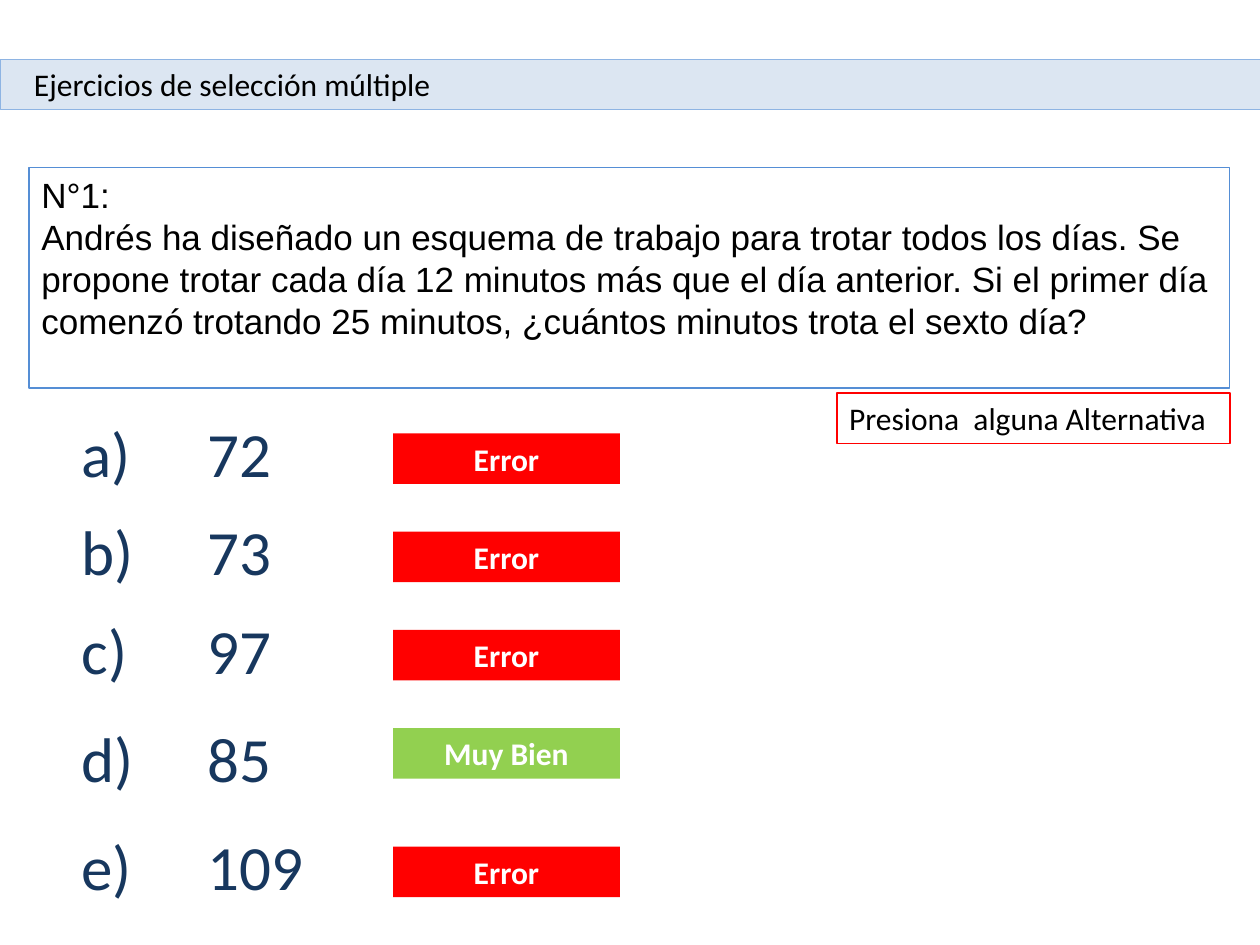
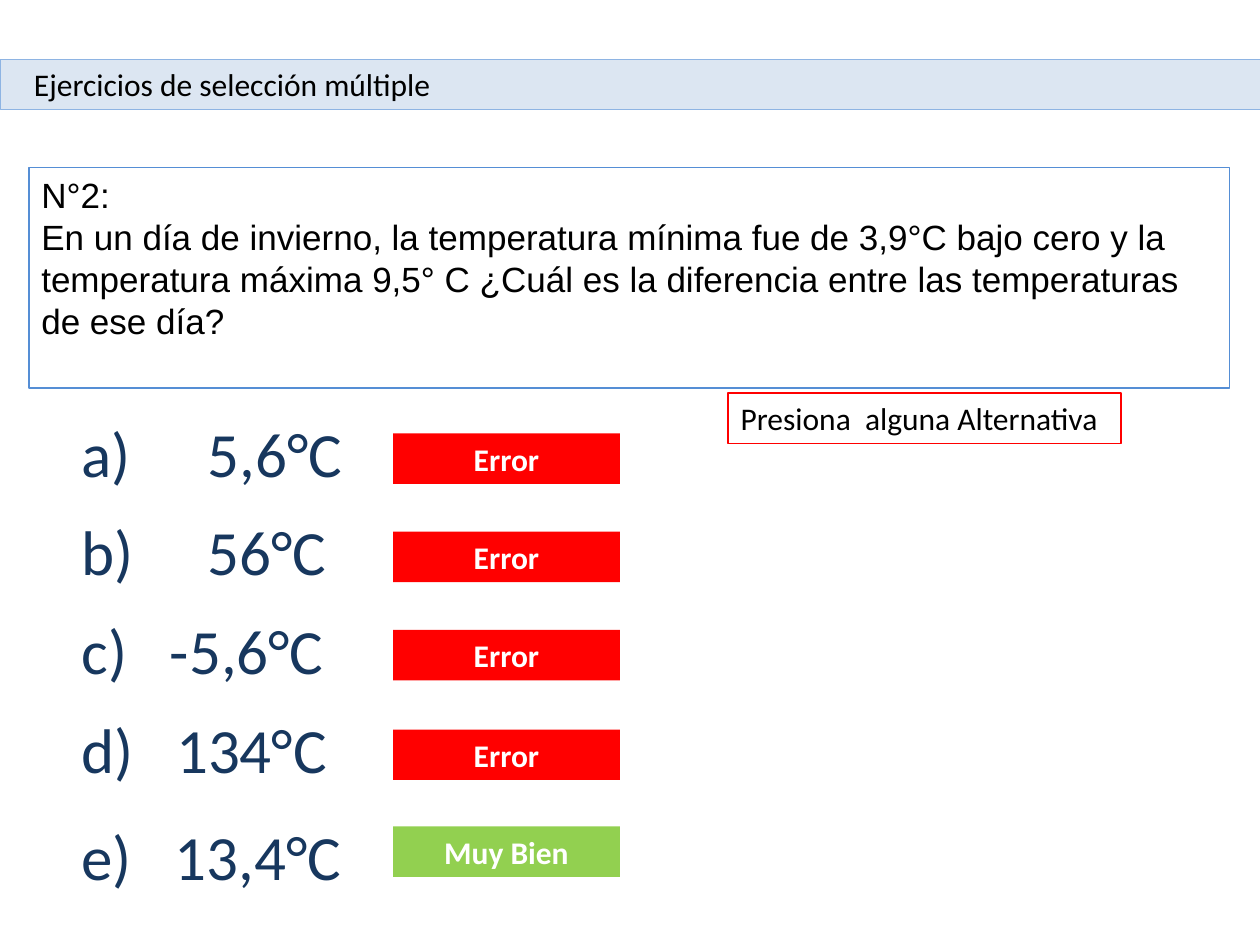
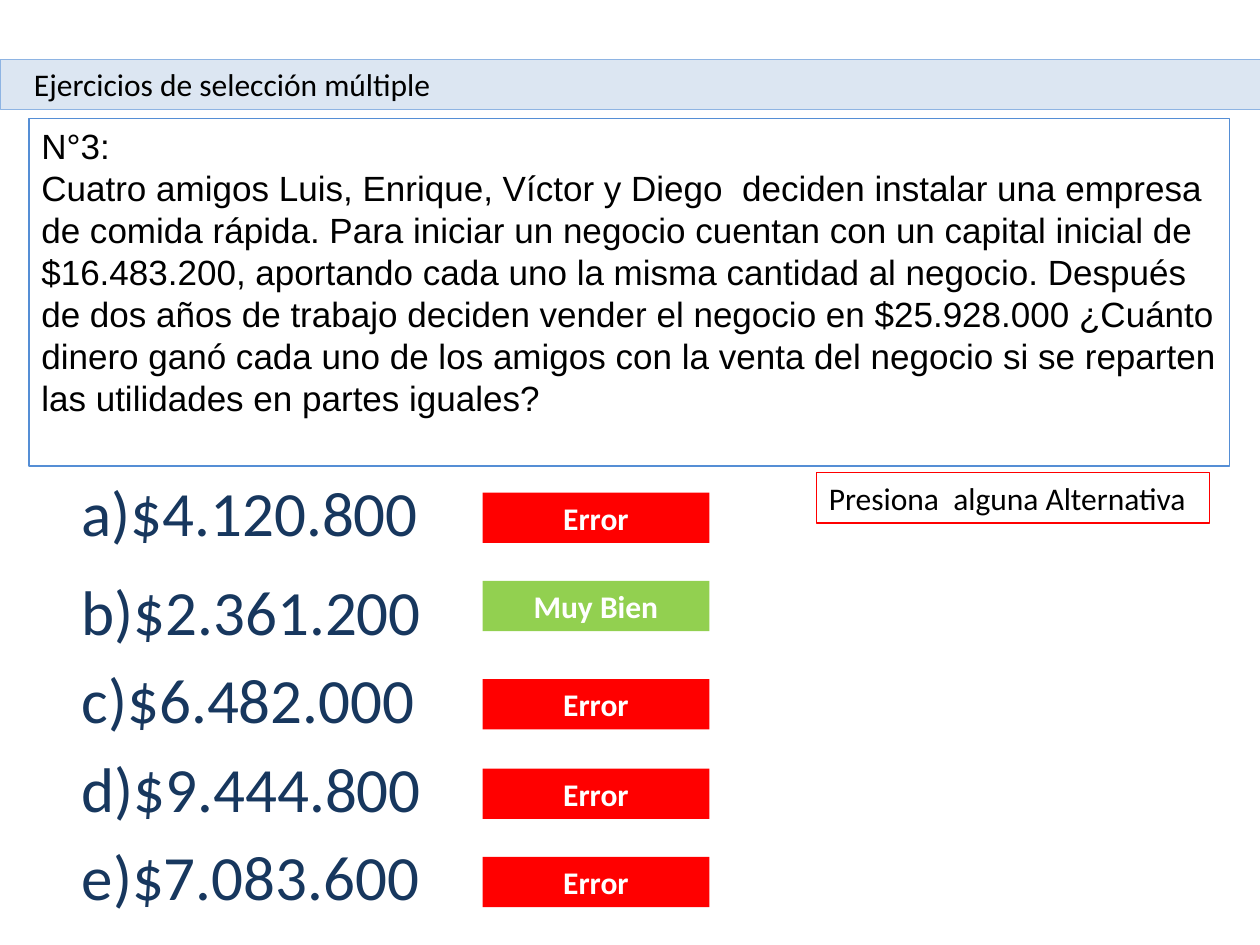
from dataclasses import dataclass

from lxml.etree import SubElement
from pptx import Presentation
from pptx.dml.color import RGBColor
from pptx.enum.shapes import MSO_SHAPE
from pptx.enum.text import MSO_ANCHOR, PP_ALIGN
from pptx.oxml.ns import qn
from pptx.util import Inches, Pt


@dataclass(frozen=True)
class Theme:
    band: str = "DCE6F2"
    band_line: str = "8EB4E3"
    question_line: str = "558ED5"
    wrong: str = "FF0000"
    right: str = "92D050"
    option: str = "17375E"
    black: str = "000000"
    white: str = "FFFFFF"
    body_font: str = "Calibri"
    question_font: str = "Arial"
    body_size: int = 18
    question_size: int = 20
    option_size: int = 36


theme = Theme()
body = {"name": theme.body_font, "size": Pt(theme.body_size)}
question = {"name": theme.question_font, "size": Pt(theme.question_size)}
option = {"name": theme.body_font, "size": Pt(theme.option_size)}
verdict = {**body, "bold": True}


def write(box, lines, formats, color, align=PP_ALIGN.LEFT, anchor=MSO_ANCHOR.TOP):
    """Fill a box with one formatted paragraph per line."""
    frame = box.text_frame
    frame.word_wrap = True
    frame.vertical_anchor = anchor
    for index, line in enumerate(lines):
        para = frame.paragraphs[0] if index == 0 else frame.add_paragraph()
        para.alignment = align
        span = para.add_run()
        span.text = line
        span.font.color.rgb = RGBColor.from_string(color)
        for name, value in formats.items():
            setattr(span.font, name, value)


def add_box(page, place, fill=None, line=None, line_width=1):
    """Add a flat rectangle with an optional fill and outline."""
    box = page.shapes.add_shape(MSO_SHAPE.RECTANGLE, *map(Inches, place))
    box.shadow.inherit = False
    for target, color in ((box.fill, fill), (box.line.fill, line)):
        if color:
            target.solid()
            target.fore_color.rgb = RGBColor.from_string(color)
        else:
            target.background()
    if line:
        box.line.width = Pt(line_width)
    return box


# Each option: label, answer, tab position (None: no gap), top
exercises = [
    {
        "question": "Andrés ha diseñado un esquema de trabajo para trotar todos los días. "
        "Se propone trotar cada día 12 minutos más que el día anterior. Si el primer día "
        "comenzó trotando 25 minutos, ¿cuántos minutos trota el sexto día?",
        "question_top": 1.33, "question_height": 1.75,
        "hint": (6.64, 3.12), "option_width": 2.34, "verdict_left": 3.12,
        "correct": "d)",
        "options": [("a)", "72", 1, 3.28), ("b)", "73", 1, 4.06), ("c)", "97", 1, 4.84),
                    ("d)", "85", 1, 5.7), ("e)", "109", 1, 6.56)],
    },
    {
        "question": "En un día de invierno, la temperatura mínima fue de 3,9°C bajo cero y la "
        "temperatura máxima 9,5° C ¿Cuál es la diferencia entre las temperaturas de ese día?",
        "question_top": 1.33, "question_height": 1.75,
        "hint": (5.78, 3.12), "option_width": 2.34, "verdict_left": 3.12,
        "correct": "e)",
        "options": [("a)", "5,6°C", 1, 3.28), ("b)", "56°C", 1, 4.06),
                    ("c)", "-5,6°C", 0.7, 4.84), ("d)", "134°C", 0.75, 5.63),
                    ("e)", "13,4°C", 0.74, 6.48)],
    },
    {
        "question": "Cuatro amigos Luis, Enrique, Víctor y Diego  deciden instalar una empresa "
        "de comida rápida. Para iniciar un negocio cuentan con un capital inicial de "
        "$16.483.200, aportando cada uno la misma cantidad al negocio. Después de dos años de "
        "trabajo deciden vender el negocio en $25.928.000 ¿Cuánto dinero ganó cada uno de los "
        "amigos con la venta del negocio si se reparten las utilidades en partes iguales?",
        "question_top": 0.94, "question_height": 2.76,
        "hint": (6.48, 3.75), "option_width": 3.28, "verdict_left": 3.83,
        "correct": "b)",
        "options": [("a)", "$4.120.800", None, 3.75), ("b)", "$2.361.200", None, 4.53),
                    ("c)", "$6.482.000", None, 5.23), ("d)", "$9.444.800", None, 5.94),
                    ("e)", "$7.083.600", None, 6.64)],
    },
]

deck = Presentation()
deck.slide_width, deck.slide_height = Inches(10), Inches(7.5)

for number, exercise in enumerate(exercises, start=1):
    page = deck.slides.add_slide(deck.slide_layouts[6])

    # Title band
    band = add_box(page, (0, 0.47, 10, 0.4), theme.band, theme.band_line, 0.25)
    band.text_frame.margin_left = Inches(0.27)
    write(band, ["Ejercicios de selección múltiple"], body, theme.black)

    # Question
    place = (0.23, exercise["question_top"], 9.53, exercise["question_height"])
    question_box = add_box(page, place, line=theme.question_line, line_width=0.75)
    write(question_box, [f"N°{number}:", exercise["question"]], question, theme.black)

    # Hint
    hint = add_box(page, (*exercise["hint"], 3.12, 0.4), line=theme.wrong)
    write(hint, ["Presiona  alguna Alternativa"], body, theme.black)

    for label, answer, tab, top in exercise["options"]:
        # Option
        place = (0.55, top, exercise["option_width"], 0.62)
        option_box = page.shapes.add_textbox(*map(Inches, place))
        gap = "\t" if tab else ""
        write(option_box, [label + gap + answer], option, theme.option,
              anchor=MSO_ANCHOR.MIDDLE)
        if tab:
            properties = option_box.text_frame.paragraphs[0]._p.get_or_add_pPr()
            stops = SubElement(properties, qn("a:tabLst"))
            SubElement(stops, qn("a:tab"), pos=str(Inches(tab)), algn="l")

        # Verdict: the right one sits a little higher beside its option
        is_right = label == exercise["correct"]
        drop = 0.08 if is_right else 0.16
        place = (exercise["verdict_left"], top + drop, 1.8, 0.4)
        verdict_box = add_box(page, place, theme.right if is_right else theme.wrong)
        write(verdict_box, ["Muy Bien" if is_right else "Error"], verdict, theme.white,
              align=PP_ALIGN.CENTER)

deck.save("out.pptx")
